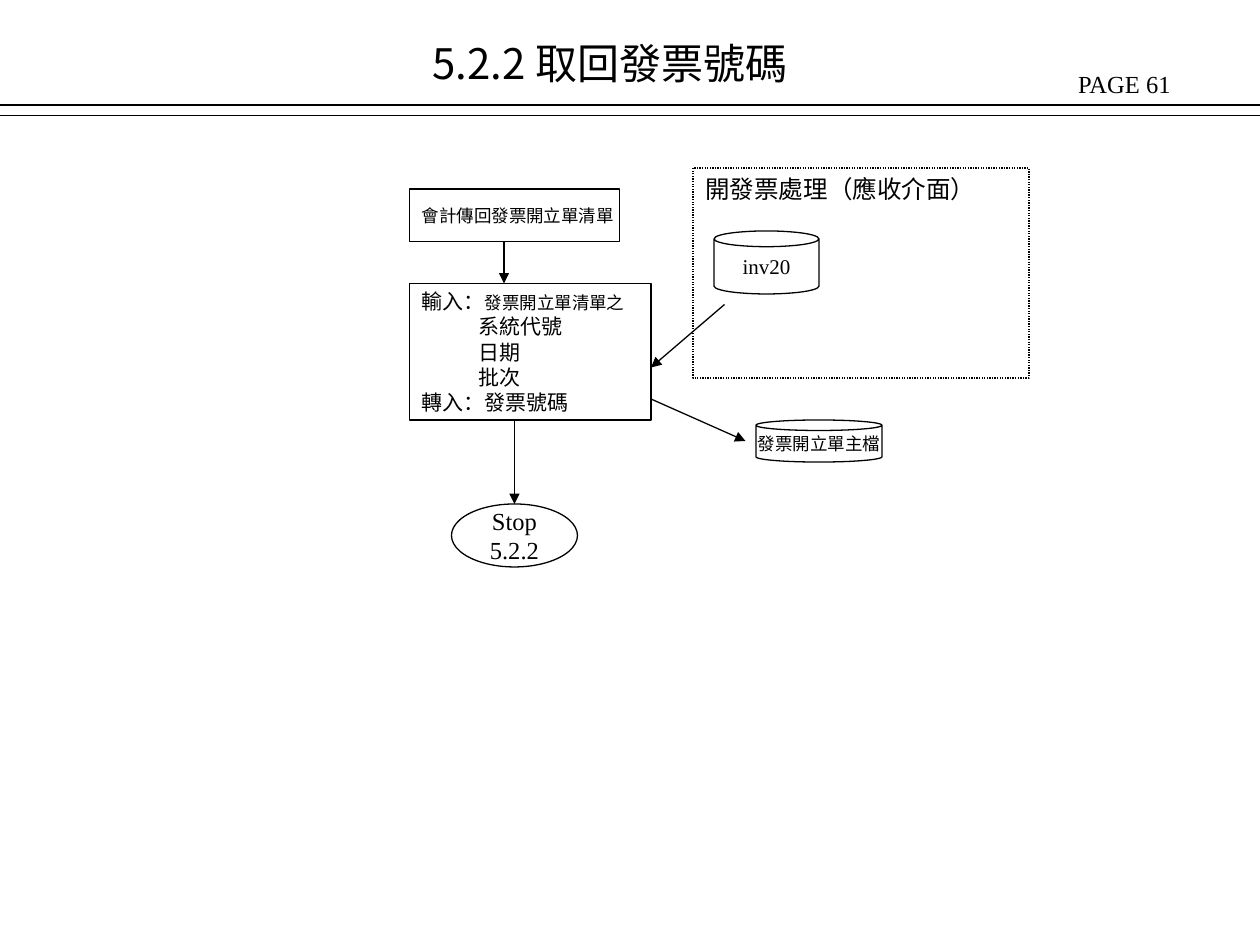
from dataclasses import dataclass
from typing import Optional

from lxml.etree import SubElement
from pptx import Presentation
from pptx.dml.color import RGBColor
from pptx.enum.dml import MSO_LINE
from pptx.enum.shapes import MSO_CONNECTOR, MSO_SHAPE
from pptx.enum.text import MSO_ANCHOR, MSO_AUTO_SIZE, PP_ALIGN
from pptx.oxml.ns import qn
from pptx.util import Pt


@dataclass(frozen=True)
class Theme:
    ink: RGBColor = RGBColor(0, 0, 0)
    latin: str = "Times New Roman"
    heading: str = "Noto Sans CJK TC"
    title: float = 24
    label: float = 14
    body: float = 12
    small: float = 10
    line: float = 0.75
    inset: float = 7.2
    indent: float = 32.5


THEME = Theme()


@dataclass(frozen=True)
class Span:
    text: str
    size: float = THEME.body


@dataclass(frozen=True)
class Line:
    spans: tuple[Span, ...]
    indent: float = 0


@dataclass(frozen=True)
class Node:
    kind: MSO_SHAPE
    left: float
    top: float
    width: float
    height: float
    lines: tuple[Line, ...] = ()
    centred: bool = True
    dash: Optional[MSO_LINE] = None


@dataclass(frozen=True)
class Link:
    start: tuple[float, float]
    end: tuple[float, float]
    arrow: bool = True


def one(text: str, size: float = THEME.body, indent: float = 0) -> Line:
    return Line((Span(text, size),), indent)


FRAME = Node(MSO_SHAPE.RECTANGLE, 396, 96, 192, 120, dash=MSO_LINE.ROUND_DOT)
STOP = Node(MSO_SHAPE.OVAL, 258, 288, 72, 36,
            (one("Stop", THEME.label), one("5.2.2", THEME.label)))
INPUT = Node(MSO_SHAPE.RECTANGLE, 234, 162, 138, 78, (
    Line((Span("輸入："), Span("發票開立單清單之", THEME.small))),
    *(one(item, indent=THEME.indent) for item in ("系統代號", "日期", "批次")),
    one("轉入：發票號碼"),
), centred=False)
NODES = (
    Node(MSO_SHAPE.CAN, 408, 132, 60, 36, (one("inv20"),)),
    FRAME,
    STOP,
    INPUT,
    Node(MSO_SHAPE.CAN, 432, 240, 72, 24, (one("發票開立單主檔", THEME.small),)),
    Node(MSO_SHAPE.RECTANGLE, 234, 108, 120, 30,
         (one("會計傳回發票開立單清單", THEME.small),), centred=False),
)
RULES = tuple(Link((0, y), (720, y), arrow=False) for y in (60, 66))
STOP_LINK = Link((294, 240), (294, 288))
LINKS = (
    Link((414, 174), (372, 210)),
    Link((372, 228), (426, 252)),
    Link((288, 138), (288, 162)),
)


def write(frame, lines: tuple[Line, ...], centred: bool = False) -> None:
    frame.word_wrap = True
    frame.margin_left = Pt(0 if centred else THEME.inset)
    frame.margin_right = 0
    for index, line in enumerate(lines):
        para = frame.add_paragraph() if index else frame.paragraphs[0]
        para.alignment = PP_ALIGN.CENTER if centred else PP_ALIGN.LEFT
        if line.indent:
            para._p.get_or_add_pPr().set("marL", str(Pt(line.indent)))
        para.font.name = THEME.latin
        para.font.color.rgb = THEME.ink
        for span in line.spans:
            run = para.add_run()
            run.text = span.text
            run.font.size = Pt(span.size)


def draw_node(page, node: Node):
    shape = page.shapes.add_shape(node.kind, Pt(node.left), Pt(node.top),
                                  Pt(node.width), Pt(node.height))
    shape.shadow.inherit = False
    shape.fill.background()
    shape.line.color.rgb = THEME.ink
    shape.line.width = Pt(THEME.line)
    if node.dash is not None:
        shape.line.dash_style = node.dash
    if node.lines:
        shape.text_frame.vertical_anchor = MSO_ANCHOR.MIDDLE
        write(shape.text_frame, node.lines, node.centred)
    return shape


def draw_link(page, link: Link):
    connector = page.shapes.add_connector(
        MSO_CONNECTOR.STRAIGHT, *(Pt(value) for value in link.start + link.end))
    connector.line.color.rgb = THEME.ink
    connector.line.width = Pt(THEME.line)
    if link.arrow:
        SubElement(connector.line._get_or_add_ln(), qn("a:tailEnd"), type="triangle")
    SubElement(connector._element.spPr, qn("a:effectLst"))
    return connector


def draw_label(page, text: str, left: float, top: float, width: float) -> None:
    box = page.shapes.add_textbox(Pt(left), Pt(top), Pt(width), Pt(24))
    write(box.text_frame, (one(text, THEME.label),))


def draw_title(page) -> None:
    title = page.shapes.title
    title.left, title.top, title.width, title.height = Pt(240), Pt(18), Pt(288), Pt(36)
    frame = title.text_frame
    frame.vertical_anchor = MSO_ANCHOR.TOP
    frame.auto_size = MSO_AUTO_SIZE.NONE
    write(frame, (Line((Span("5.2.2 ", THEME.title), Span("取回發票號碼", THEME.title))),))
    frame.paragraphs[0].runs[0].font.name = THEME.heading


def main() -> None:
    deck = Presentation()
    deck.slide_width, deck.slide_height = Pt(720), Pt(540)
    page = deck.slides.add_slide(deck.slide_layouts[5])
    draw_title(page)
    draw_label(page, "PAGE 61", 609, 36, 100)
    draw_label(page, "開發票處理（應收介面）", FRAME.left, FRAME.top, 180)
    for rule in RULES:
        draw_link(page, rule)
    shapes = {node: draw_node(page, node) for node in NODES}
    for link in LINKS:
        draw_link(page, link)
    draw_link(page, STOP_LINK).end_connect(shapes[STOP], 0)
    deck.save("out.pptx")


if __name__ == "__main__":
    main()
